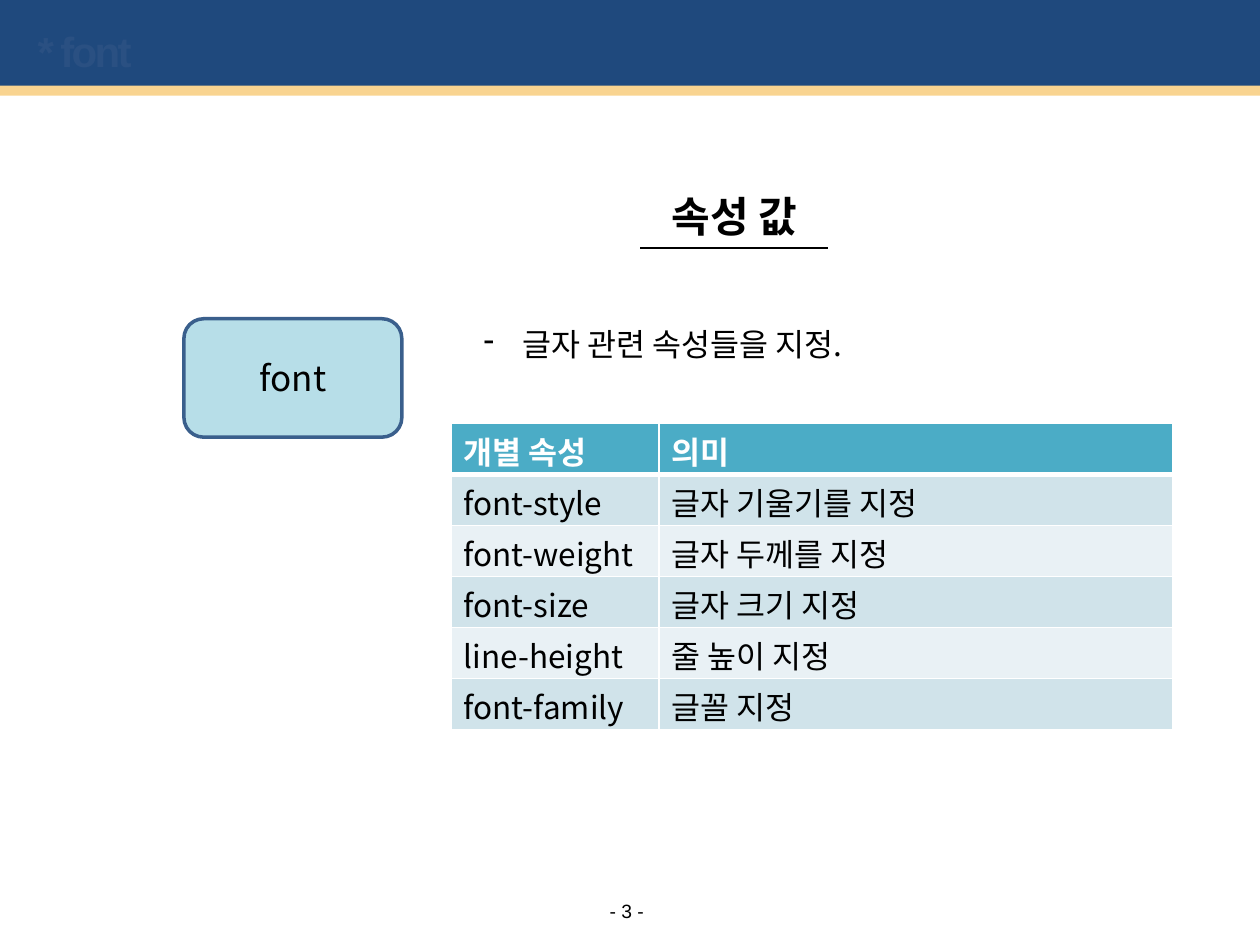
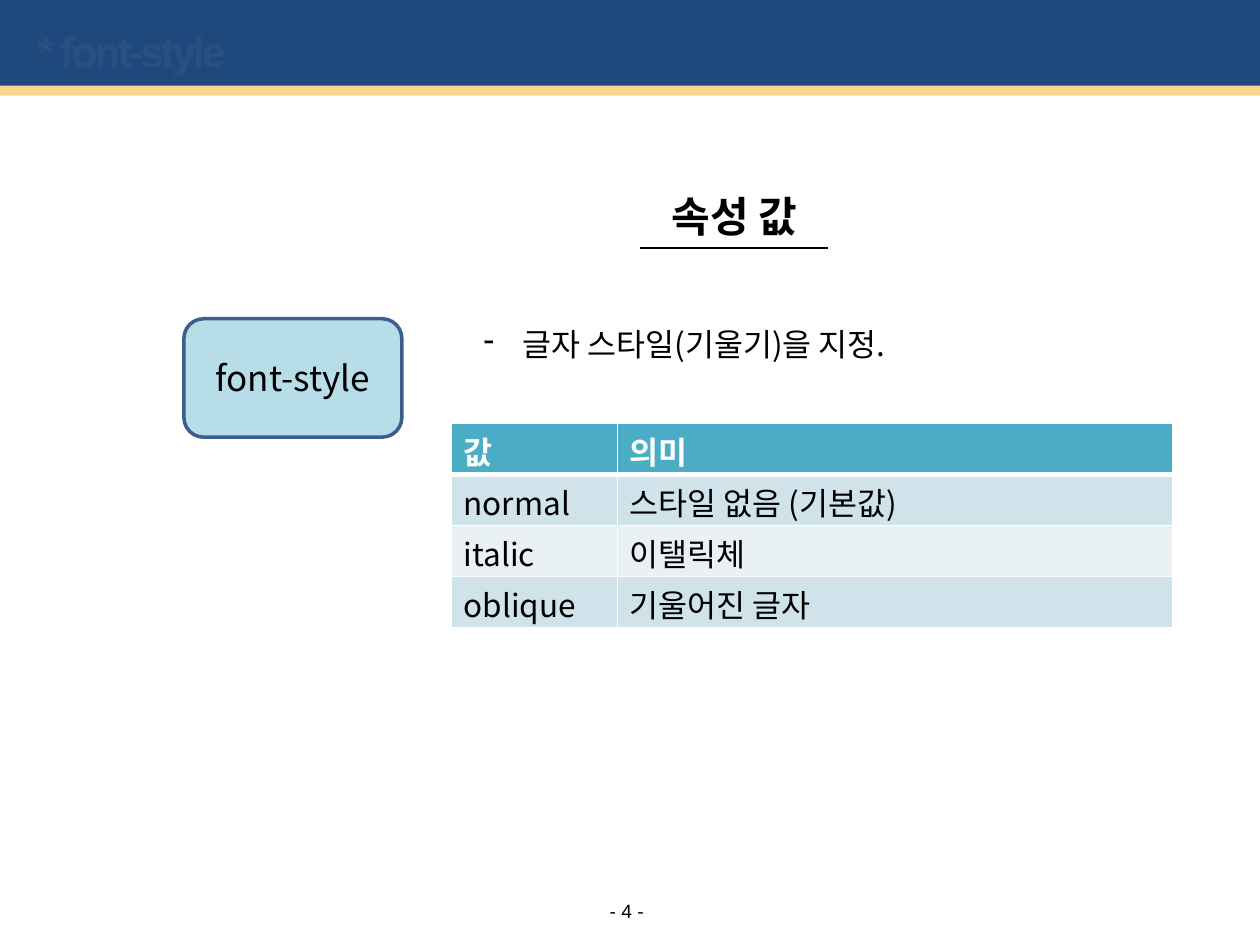
import dataclasses

import lxml.etree
import pptx
import pptx.dml.color
import pptx.enum.shapes
import pptx.enum.text
import pptx.oxml.ns
import pptx.util

Inches = pptx.util.Inches
Pt = pptx.util.Pt
qn = pptx.oxml.ns.qn
SHAPE = pptx.enum.shapes.MSO_SHAPE
ALIGN = pptx.enum.text.PP_ALIGN
ANCHOR = pptx.enum.text.MSO_ANCHOR


@dataclasses.dataclass(frozen=True)
class Theme:
    band: str = "1F497D"
    stripe: str = "F9D490"
    title: str = "2A5082"
    ink: str = "000000"
    white: str = "FFFFFF"
    box: str = "B7DEE8"
    box_line: str = "3A5F8C"
    header: str = "4BACC6"
    stripes: tuple = ("D0E3EA", "E9F1F5")
    body_font: str = "Noto Sans CJK KR"
    frame_font: str = "Arial"
    heading_size: int = 24
    box_size: int = 20
    body_size: int = 18
    page_size: int = 11


T = Theme()

PAGES = [
    dict(number=3, name="font", summary="글자 관련 속성들을 지정.", first_col=1.65,
         rows=[("개별 속성", "의미"),
               ("font-style", "글자 기울기를 지정"),
               ("font-weight", "글자 두께를 지정"),
               ("font-size", "글자 크기 지정"),
               ("line-height", "줄 높이 지정"),
               ("font-family", "글꼴 지정")]),
    dict(number=4, name="font-style", summary="글자 스타일(기울기)을 지정.", first_col=1.32,
         rows=[("값", "의미"),
               ("normal", "스타일 없음 (기본값)"),
               ("italic", "이탤릭체"),
               ("oblique", "기울어진 글자")]),
]


def rgb(value):
    return pptx.dml.color.RGBColor.from_string(value)


def write(tf, text, size, color=T.ink, font=T.body_font, bold=False, align=ALIGN.LEFT):
    """Fill the first paragraph and return its run."""
    p = tf.paragraphs[0]
    p.alignment = align
    r = p.add_run()
    r.text = text
    for name, value in dict(name=font, size=Pt(size), bold=bold).items():
        setattr(r.font, name, value)
    r.font.color.rgb = rgb(color)
    ea = lxml.etree.SubElement(r.font._element, qn("a:ea"))
    ea.set("typeface", font)
    return r


def add_box(s, kind, place, fill, line=None):
    sp = s.shapes.add_shape(kind, *map(Inches, place))
    sp.shadow.inherit = False
    sp.fill.solid()
    sp.fill.fore_color.rgb = rgb(fill)
    if line:
        sp.line.color.rgb = rgb(line)
        sp.line.width = Pt(2)
    else:
        sp.line.fill.background()
    return sp


def add_text(s, place, text, size, anchor=ANCHOR.TOP, inset=None, wrap=True, **style):
    tf = s.shapes.add_textbox(*map(Inches, place)).text_frame
    tf.word_wrap = wrap
    tf.vertical_anchor = anchor
    if inset is not None:
        for side in ("left", "top", "right", "bottom"):
            setattr(tf, f"margin_{side}", Inches(inset))
    return write(tf, text, size, **style), tf


def add_frame(s, name, number):
    """Title band, stripe and page number."""
    add_box(s, SHAPE.RECTANGLE, (0, -0.03, 10, 0.76), T.band)
    add_box(s, SHAPE.RECTANGLE, (0, 0.68, 10, 0.08), T.stripe)
    r, _ = add_text(s, (0.2, 0.15, 9, 0.5), f"* {name}", T.heading_size, ANCHOR.MIDDLE,
                    color=T.title, font=T.frame_font, bold=True)
    r.font._element.set("spc", "-150")
    add_text(s, (4.76, 7.13, 0.43, 0.19), f"- {number} -", T.page_size, ANCHOR.MIDDLE,
             inset=0, wrap=False, font=T.frame_font, align=ALIGN.CENTER)


def add_property_box(s, name):
    sp = add_box(s, SHAPE.ROUNDED_RECTANGLE, (1.46, 2.53, 1.73, 0.94), T.box, T.box_line)
    sp.text_frame.vertical_anchor = ANCHOR.MIDDLE
    write(sp.text_frame, name, T.box_size, align=ALIGN.CENTER)


def add_heading(s, text):
    """Centred heading with a rule below it."""
    add_text(s, (3.9, 1.46, 3.86, 0.5), text, T.heading_size, bold=True, align=ALIGN.CENTER)
    rule = s.shapes.add_connector(pptx.enum.shapes.MSO_CONNECTOR.STRAIGHT,
                                  *map(Inches, (5.08, 1.97, 6.57, 1.97)))
    rule.line.color.rgb = rgb(T.ink)
    rule.line.width = Pt(1.5)
    lxml.etree.SubElement(rule._element.spPr, qn("a:effectLst"))


def add_dash_item(s, text):
    _, tf = add_text(s, (3.74, 2.53, 4.88, 0.4), text, T.body_size)
    pPr = tf.paragraphs[0]._p.get_or_add_pPr()
    pPr.set("marL", str(Inches(0.31)))
    pPr.set("indent", str(-Inches(0.31)))
    lxml.etree.SubElement(pPr, qn("a:buChar")).set("char", "-")


def set_borders(cell, **widths):
    tcPr = cell._tc.get_or_add_tcPr()
    for side in "LRTB":
        ln = lxml.etree.SubElement(tcPr, qn(f"a:ln{side}"))
        ln.set("w", str(Pt(widths.get(side, 1))))
        fill = lxml.etree.SubElement(ln, qn("a:solidFill"))
        lxml.etree.SubElement(fill, qn("a:srgbClr")).set("val", T.white)


def add_value_table(s, rows, first_col):
    width, row_height = 5.73, 2.43 / 6
    table = s.shapes.add_table(len(rows), 2, Inches(3.58), Inches(3.36), Inches(width),
                               Inches(row_height * len(rows))).table
    for col, w in zip(table.columns, (first_col, width - first_col)):
        col.width = Inches(w)
    for i, texts in enumerate(rows):
        table.rows[i].height = Inches(row_height)
        for j, text in enumerate(texts):
            cell = table.cell(i, j)
            cell.margin_top, cell.margin_bottom = Inches(0.04), 0
            set_borders(cell, T=3 if i == 1 else 1, B=3 if i == 0 else 1)
            cell.fill.solid()
            cell.fill.fore_color.rgb = rgb(T.stripes[(i - 1) % 2] if i else T.header)
            write(cell.text_frame, text, T.body_size,
                  color=T.ink if i else T.white, bold=i == 0)


def main():
    prs = pptx.Presentation()
    prs.slide_width, prs.slide_height = Inches(10), Inches(7.5)
    for page in PAGES:
        s = prs.slides.add_slide(prs.slide_layouts[6])
        add_frame(s, page["name"], page["number"])
        add_property_box(s, page["name"])
        add_heading(s, "속성 값")
        add_dash_item(s, page["summary"])
        add_value_table(s, page["rows"], page["first_col"])
    prs.save("out.pptx")


if __name__ == "__main__":
    main()
